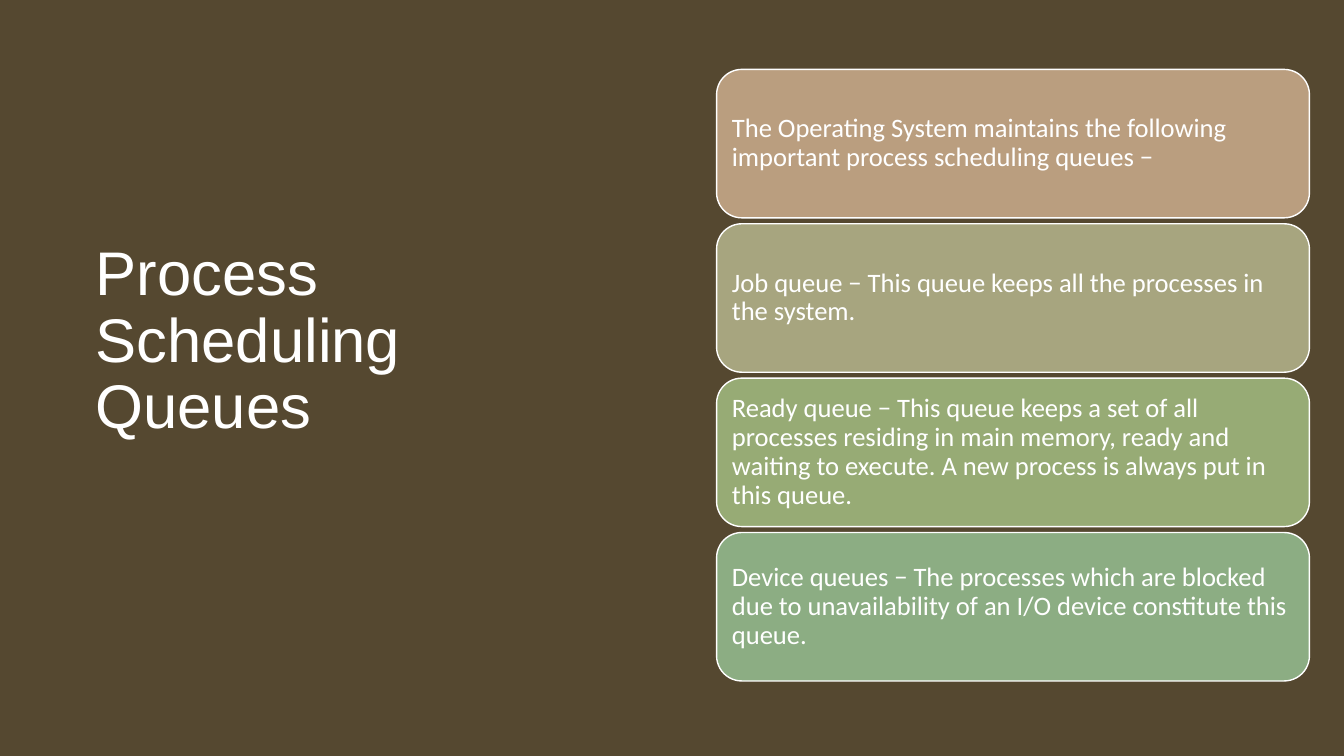
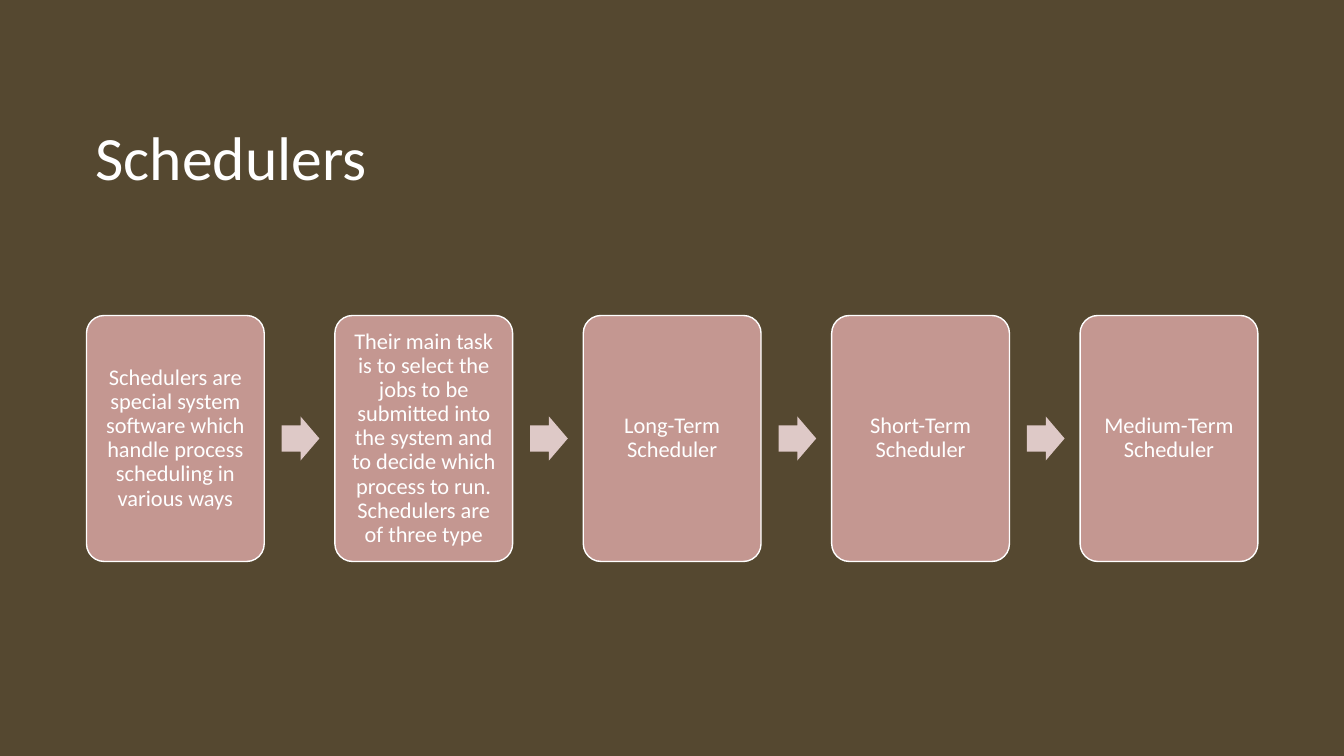
from pptx import Presentation
from pptx.dml.color import RGBColor
from pptx.enum import shapes, text
from pptx.util import Cm, Pt

COLORS = {
    "background": "554830",
    "white": "FFFFFF",
    "step": "C49791",
    "arrow": "DEC9C7",
}

# Content
QUEUES_TITLE = "Process Scheduling Queues"
QUEUES = [
    ("The Operating System maintains the following important process "
     "scheduling queues −", "BA9E7F"),
    ("Job queue − This queue keeps all the processes in the system.", "A7A57F"),
    ("Ready queue − This queue keeps a set of all processes residing in main "
     "memory, ready and waiting to execute. A new process is always put in "
     "this queue.", "97AB75"),
    ("Device queues − The processes which are blocked due to unavailability "
     "of an I/O device constitute this queue.", "8CAD83"),
]
SCHEDULERS_TITLE = "Schedulers"
SCHEDULERS = [
    "Schedulers are special system software which handle process scheduling "
    "in various ways",
    "Their main task is to select the jobs to be submitted into the system "
    "and to decide which process to run. Schedulers are of three type",
    "Long-Term Scheduler",
    "Short-Term Scheduler",
    "Medium-Term Scheduler",
]


# Shared parts
def rgb(color):
    return RGBColor.from_string(color)


def write(frame, words, size, font, align):
    frame.word_wrap = True
    frame.vertical_anchor = text.MSO_ANCHOR.MIDDLE
    line = frame.paragraphs[0]
    line.text = words
    line.alignment = align
    line.line_spacing = 0.9
    line.font.size = Pt(size)
    line.font.name = font
    line.font.color.rgb = rgb(COLORS["white"])


def add_title(slide, words, width, height, font):
    title = slide.shapes.add_textbox(Cm(2.16), Cm(1.37), Cm(width), Cm(height))
    write(title.text_frame, words, 44, font, text.PP_ALIGN.LEFT)


def add_filled(slide, kind, left, top, width, height, color):
    filled = slide.shapes.add_shape(
        kind, Cm(left), Cm(top), Cm(width), Cm(height))
    filled.shadow.inherit = False
    filled.fill.solid()
    filled.fill.fore_color.rgb = rgb(color)
    filled.line.fill.background()
    return filled


def add_card(slide, box, color, words, size, align, inset, corner):
    card = add_filled(
        slide, shapes.MSO_SHAPE.ROUNDED_RECTANGLE, *box, color)
    card.adjustments[0] = corner
    card.line.color.rgb = rgb(COLORS["white"])
    card.line.width = Pt(1)
    frame = card.text_frame
    frame.margin_left = frame.margin_right = Cm(inset)
    frame.margin_top = frame.margin_bottom = Cm(inset)
    write(frame, words, size, "Calibri", align)


# Slides
def build_queues(slide):
    add_title(slide, QUEUES_TITLE, 14.02, 14.5, "Arial")
    left, top, width, height, gap = 18.06, 1.75, 14.94, 3.74, 0.15
    for i, (words, color) in enumerate(QUEUES):
        box = (left, top + i * (height + gap), width, height)
        add_card(slide, box, color, words, 19, text.PP_ALIGN.LEFT, 0.2, 0.17)


def build_schedulers(slide):
    add_title(slide, SCHEDULERS_TITLE, 30.38, 5.33, "Calibri")
    left, top, width, height, gap = 2.18, 7.95, 4.48, 6.2, 1.78
    arrow_width, arrow_height, arrow_gap = 0.95, 1.11, 0.44
    for i, words in enumerate(SCHEDULERS):
        x = left + i * (width + gap)
        if i:
            arrow = add_filled(
                slide, shapes.MSO_SHAPE.RIGHT_ARROW, x - gap + arrow_gap,
                top + (height - arrow_height) / 2, arrow_width, arrow_height,
                COLORS["arrow"])
            arrow.adjustments[0] = 0.6
        add_card(slide, (x, top, width, height), COLORS["step"], words, 16,
                 text.PP_ALIGN.CENTER, 0.17, 0.1)


def main():
    deck = Presentation()
    deck.slide_width, deck.slide_height = Cm(33.87), Cm(19.05)
    backdrop = deck.slide_master.background.fill
    backdrop.solid()
    backdrop.fore_color.rgb = rgb(COLORS["background"])
    for build in (build_queues, build_schedulers):
        build(deck.slides.add_slide(deck.slide_layouts[6]))
    deck.save("out.pptx")


if __name__ == "__main__":
    main()
